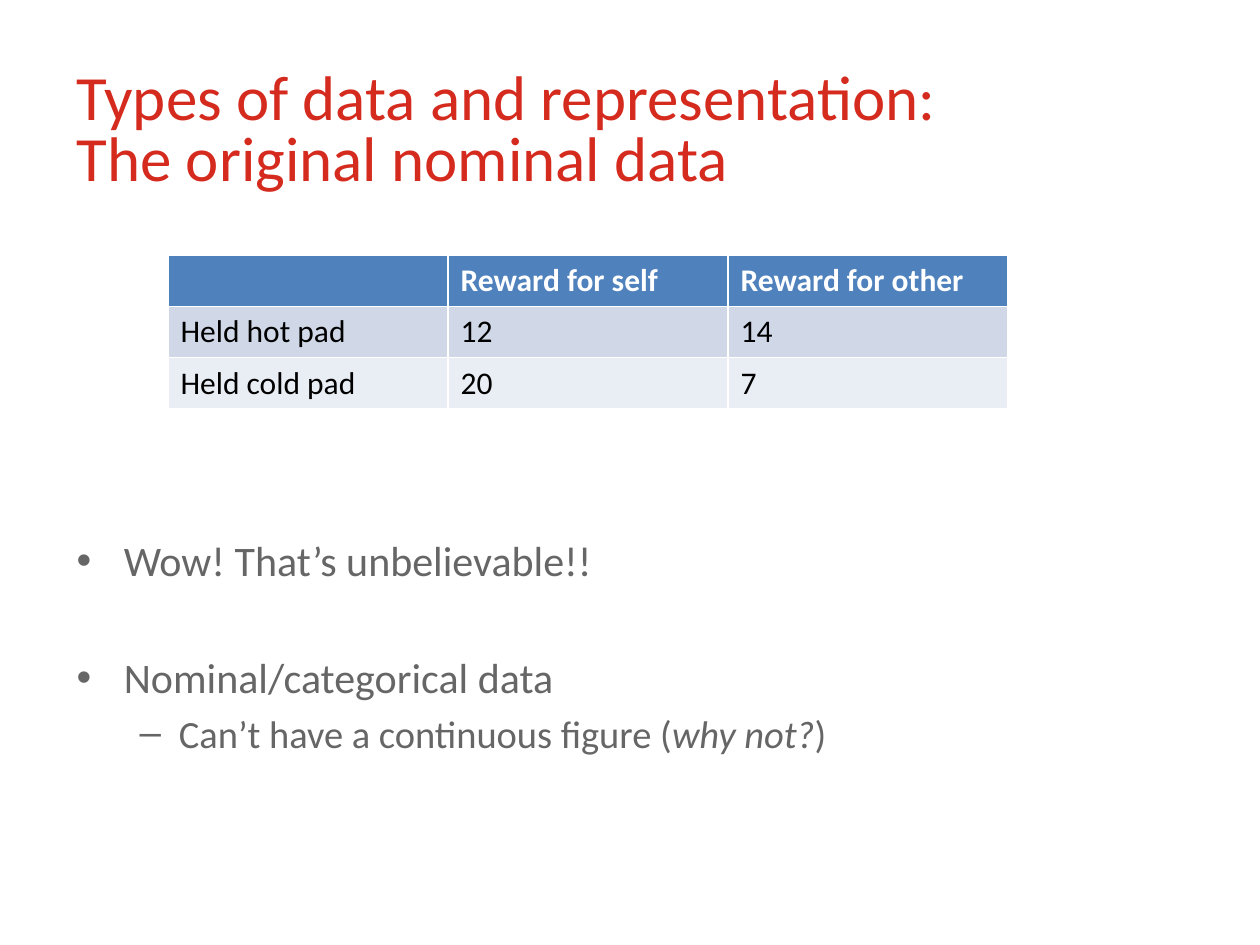
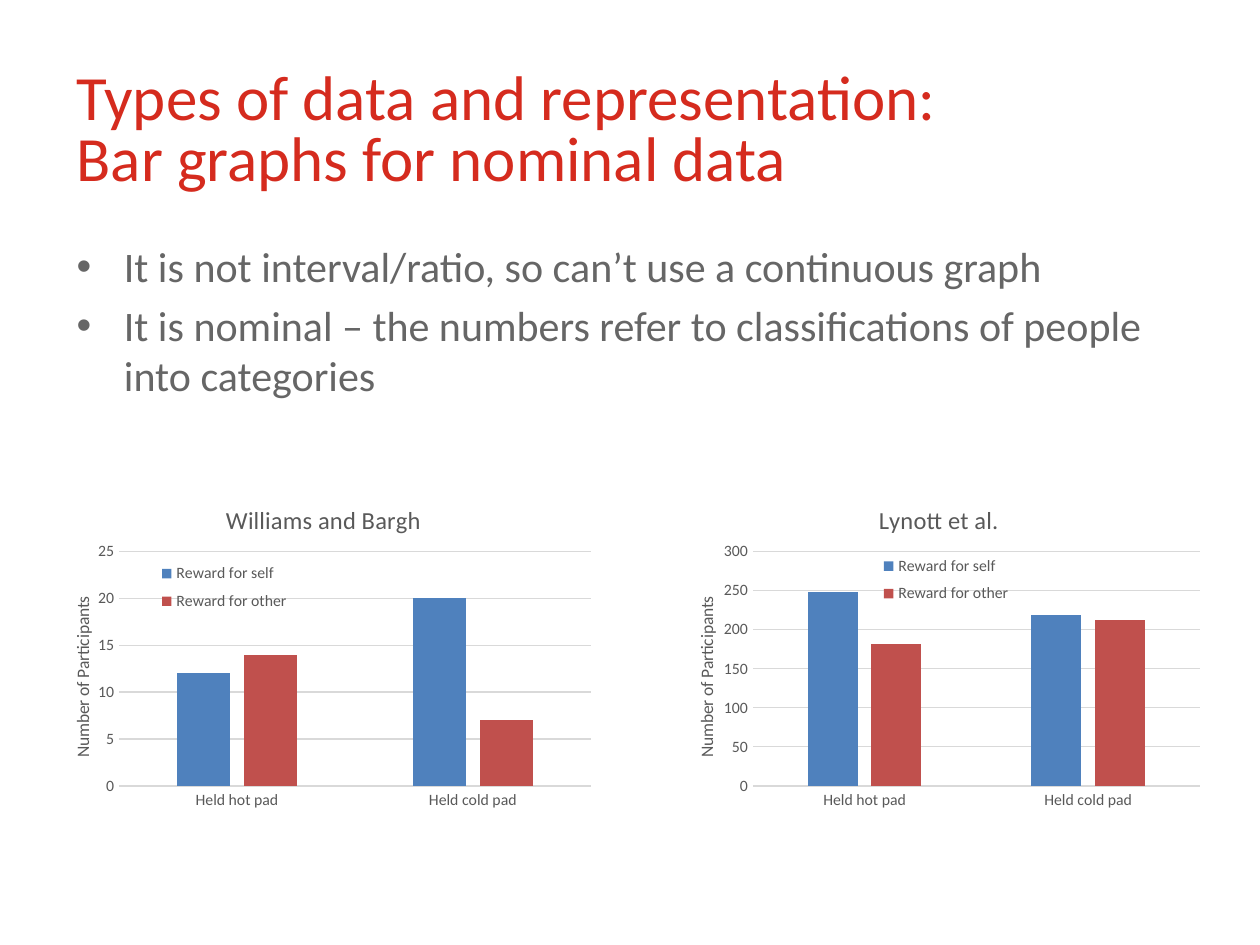
import pptx
import pptx.chart.data
import pptx.dml.color
import pptx.enum.chart
import pptx.enum.text
import pptx.oxml
import pptx.oxml.ns
import pptx.util

Pt = pptx.util.Pt
FONT = "Calibri"
COLORS = {name: pptx.dml.color.RGBColor.from_string(value) for name, value in {
    "title": "D52B1E", "body": "666666", "white": "FFFFFF", "black": "000000",
    "self": "4F81BD", "other": "C0504D", "odd_row": "D0D8E8", "even_row": "E9EDF4",
    "chart_text": "595959", "grid": "D9D9D9"}.items()}
REWARDS = ["Reward for self", "Reward for other"]
CONDITIONS = ["Held hot pad", "Held cold pad"]
BULLETS = [("•", 27, -27, 24), ("–", 58.5, -22.5, 22)]


def set_font(font, size, color, bold=False, italic=False):
    font.name, font.size, font.bold, font.italic = FONT, Pt(size), bold, italic
    font.color.rgb = COLORS[color]


def set_layout(element, index, fractions, inner=False):
    for old in element.findall(pptx.oxml.ns.qn("c:layout")):
        element.remove(old)
    target = '<c:layoutTarget val="inner"/>' if inner else ""
    modes = "".join(f'<c:{name}Mode val="edge"/>' for name in "xy")
    sizes = "".join(f'<c:{name} val="{value}"/>' for name, value in zip("xywh", fractions))
    element.insert(index, pptx.oxml.parse_xml(
        f'<c:layout {pptx.oxml.ns.nsdecls("c")}><c:manualLayout>'
        f'{target}{modes}{sizes}</c:manualLayout></c:layout>'))


presentation = pptx.Presentation()
presentation.slide_width, presentation.slide_height = Pt(720), Pt(540)

pages = [
    {"title": "Types of data and representation: The original nominal data",
     "title_width": 552, "body_width": 598, "body_inset": 171.5,
     "points": [(0, 0, [("Wow! That’s unbelievable!!", False)]),
                (0, 38, [("Nominal/categorical data", False)]),
                (1, 4.4, [("Can’t have a continuous figure (", False),
                          ("why not?", True), (")", False)])]},
    {"title": "Types of data and representation: Bar graphs for nominal data",
     "title_width": 527, "body_width": 647, "body_inset": 3.6,
     "points": [(0, 0, [("It is not interval/ratio, so can’t use a continuous graph", False)]),
                (0, 4.8, [("It is nominal – the numbers refer to classifications of people "
                           "into categories", False)])]},
]
slides = []
for page in pages:
    slide = presentation.slides.add_slide(presentation.slide_layouts[6])
    slides.append(slide)

    body = slide.shapes.add_textbox(Pt(36.7), Pt(134), Pt(page["body_width"]), Pt(348.5))
    frame = body.text_frame
    frame.word_wrap = True
    frame.margin_top = Pt(page["body_inset"])
    for number, (level, space, runs) in enumerate(page["points"]):
        paragraph = frame.add_paragraph() if number else frame.paragraphs[0]
        paragraph.level = level
        paragraph.space_before = Pt(space)
        bullet, margin, indent, size = BULLETS[level]
        properties = paragraph._p.get_or_add_pPr()
        properties.set("marL", str(Pt(margin)))
        properties.set("indent", str(Pt(indent)))
        properties.append(pptx.oxml.parse_xml(
            f'<a:buFont {pptx.oxml.ns.nsdecls("a")} typeface="Arial"/>'))
        properties.append(pptx.oxml.parse_xml(
            f'<a:buChar {pptx.oxml.ns.nsdecls("a")} char="{bullet}"/>'))
        for text, italic in runs:
            run = paragraph.add_run()
            run.text = text
            set_font(run.font, size, "body", italic=italic)

    title = slide.shapes.add_textbox(Pt(36.7), Pt(37.4), Pt(page["title_width"]), Pt(90.7))
    title.text_frame.word_wrap = True
    paragraph = title.text_frame.paragraphs[0]
    paragraph.line_spacing = Pt(35)
    run = paragraph.add_run()
    run.text = page["title"]
    set_font(run.font, 36, "title")

rows = [["", *REWARDS], [CONDITIONS[0], "12", "14"], [CONDITIONS[1], "20", "7"]]
row_styles = [("self", "white"), ("odd_row", "black"), ("even_row", "black")]
table = slides[0].shapes.add_table(3, 3, Pt(96), Pt(146), Pt(480), Pt(87.6)).table
for row_number, (row, (fill, color)) in enumerate(zip(rows, row_styles)):
    for column_number, text in enumerate(row):
        cell = table.cell(row_number, column_number)
        cell.fill.solid()
        cell.fill.fore_color.rgb = COLORS[fill]
        if text:
            run = cell.text_frame.paragraphs[0].add_run()
            run.text = text
            set_font(run.font, 18, color, bold=row_number == 0)

studies = [
    {"name": "Lynott et al.", "left": 376.6, "width": 315.4,
     "values": [(248, 219), (182, 212)], "maximum": 300, "step": 50,
     "title": (0.39, 0.06), "axis": (0.06, 0.31),
     "plot": (0.17, 0.2, 0.81, 0.62), "legend": (0.39, 0.19, 0.26, 0.17)},
    {"name": "Williams and Bargh", "left": 19.4, "width": 324.7,
     "values": [(12, 20), (14, 7)], "maximum": 25, "step": 5,
     "title": (0.33, 0.06), "axis": (0.06, 0.31),
     "plot": (0.15, 0.2, 0.83, 0.62), "legend": (0.21, 0.21, 0.25, 0.17)},
]
for study in studies:
    data = pptx.chart.data.CategoryChartData()
    data.categories = CONDITIONS
    for reward, values in zip(REWARDS, study["values"]):
        data.add_series(reward, values)
    chart = slides[1].shapes.add_chart(
        pptx.enum.chart.XL_CHART_TYPE.COLUMN_CLUSTERED,
        Pt(study["left"]), Pt(272), Pt(study["width"]), Pt(216), data).chart
    set_font(chart.font, 10, "black")

    plot = chart.plots[0]
    plot.gap_width, plot.overlap, plot.vary_by_categories = 219, -27, False
    for series, color in zip(plot.series, ["self", "other"]):
        series.format.fill.solid()
        series.format.fill.fore_color.rgb = COLORS[color]

    category_axis, value_axis = chart.category_axis, chart.value_axis
    for axis in (category_axis, value_axis):
        axis.major_tick_mark = pptx.enum.chart.XL_TICK_MARK.NONE
        set_font(axis.tick_labels.font, 9, "chart_text")
    value_axis.minimum_scale, value_axis.maximum_scale = 0, study["maximum"]
    value_axis.major_unit = study["step"]
    value_axis.format.line.fill.background()
    for line in (category_axis.format.line, value_axis.major_gridlines.format.line):
        line.width = Pt(0.75)
        line.color.rgb = COLORS["grid"]

    for heading, text, size, position in (
            (chart.chart_title, study["name"], 14, study["title"]),
            (value_axis.axis_title, "Number of Participants", 10, study["axis"])):
        run = heading.text_frame.paragraphs[0].add_run()
        run.text = text
        set_font(run.font, size, "chart_text")
        set_layout(heading._element, 1, position)

    chart.has_legend = True
    chart.legend.position = pptx.enum.chart.XL_LEGEND_POSITION.BOTTOM
    chart.legend.include_in_layout = False
    set_font(chart.legend.font, 9, "chart_text")
    set_layout(chart.legend._element, 1, study["legend"])
    set_layout(chart._chartSpace.chart.plotArea, 0, study["plot"], inner=True)

presentation.save("out.pptx")
